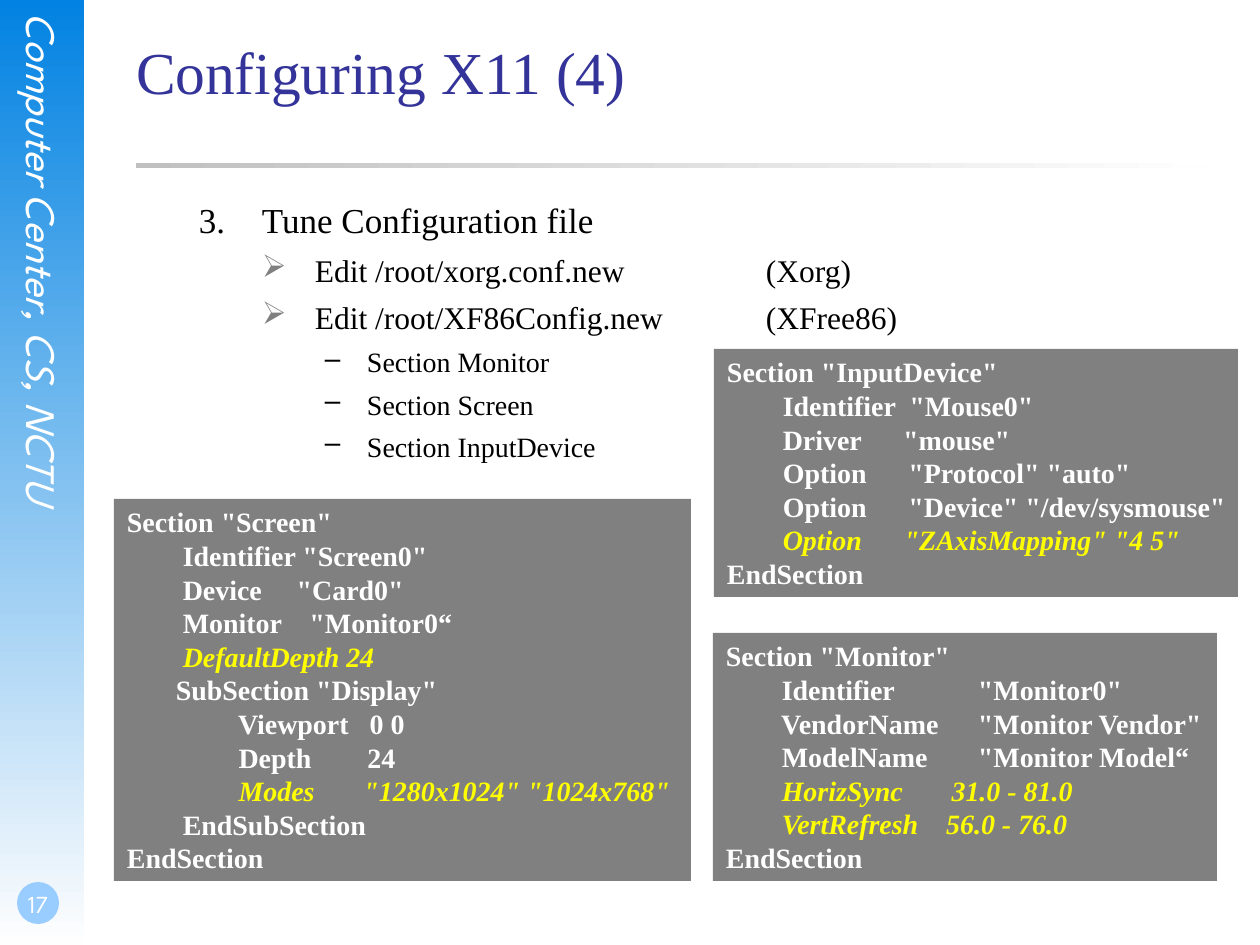
from lxml import etree
from pptx import Presentation
from pptx import util as u
from pptx.dml.color import RGBColor
from pptx.enum import shapes, text
from pptx.oxml.ns import qn

SERIF, SANS = "Times New Roman", "League Spartan"
TITLE = "Configuring X11 (4)"
SIDEBAR, PAGE = "Computer Center, CS, NCTU", "17"

# level, text
OUTLINE = [
    (1, "Tune Configuration file"),
    (2, "Edit /root/xorg.conf.new\t\t(Xorg)"),
    (2, "Edit /root/XF86Config.new\t(XFree86)"),
    (3, "Section Monitor"),
    (3, "Section Screen"),
    (3, "Section InputDevice"),
]
# level: margin px, hanging px, size, space before, bullet tag, bullet attributes, bullet colour
LEVELS = {
    1: (126, 63, 20, 6.2, "a:buAutoNum", {"type": "arabicPeriod", "startAt": "3"}, "000000"),
    2: (179, 53, 18, 5.6, "a:buChar", {"char": "➢"}, "808080"),
    3: (231, 42, 16, 5, "a:buChar", {"char": "–"}, "000000"),
}

# box in px, configuration lines
SECTIONS = [
    ((713, 633, 504, 248), [
        'Section "Monitor"',
        '        Identifier   \t"Monitor0"',
        '        VendorName  \t"Monitor Vendor"',
        '        ModelName   \t"Monitor Model“',
        '        HorizSync       31.0 - 81.0',
        '        VertRefresh    56.0 - 76.0',
        'EndSection',
    ]),
    ((114, 499, 577, 382), [
        'Section "Screen"',
        '        Identifier "Screen0"',
        '        Device     "Card0"',
        '        Monitor    "Monitor0“',
        '        DefaultDepth 24',
        '       SubSection "Display"',
        '                Viewport   0 0',
        '                Depth        24',
        '                Modes       "1280x1024" "1024x768"',
        '        EndSubSection',
        'EndSection',
    ]),
    ((714, 349, 524, 248), [
        'Section "InputDevice"',
        '        Identifier  "Mouse0"',
        '        Driver      "mouse"',
        '        Option      "Protocol" "auto"',
        '        Option      "Device" "/dev/sysmouse"',
        '        Option      "ZAxisMapping" "4 5"',
        'EndSection',
    ]),
]
HIGHLIGHTED = ("HorizSync", "VertRefresh", "DefaultDepth", "Modes", 'Option      "ZAxisMapping"')


def px(value):
    return round(value * 914400 / 126)


def color(value):
    return RGBColor.from_string(value)


def style(paragraph, size, fill, name=SERIF, bold=False, italic=False):
    font = paragraph.font
    font.name, font.size, font.bold, font.italic = name, u.Pt(size), bold, italic
    font.color.rgb = color(fill)


def add_shape(kind, box, *fills, angle=0):
    shape = slide.shapes.add_shape(kind, *map(px, box))
    shape.shadow.inherit = False
    shape.line.fill.background()
    if len(fills) == 1:
        shape.fill.solid()
        shape.fill.fore_color.rgb = color(fills[0])
    else:
        shape.fill.gradient()
        shape.fill.gradient_angle = angle
        for stop, fill in zip(shape.fill.gradient_stops, fills):
            stop.color.rgb = color(fill)
    return shape


def set_frame(shape, margins=(0, 0, 0, 0), anchor=text.MSO_ANCHOR.TOP):
    frame = shape.text_frame
    frame.word_wrap = True
    frame.auto_size = text.MSO_AUTO_SIZE.NONE
    frame.vertical_anchor = anchor
    (frame.margin_left, frame.margin_top,
     frame.margin_right, frame.margin_bottom) = map(px, margins)
    return frame


def add_text(box, **options):
    return set_frame(slide.shapes.add_textbox(*map(px, box)), **options)


def add_paragraph(frame, index, content):
    paragraph = frame.paragraphs[0] if index == 0 else frame.add_paragraph()
    paragraph.text = content
    paragraph.alignment = text.PP_ALIGN.LEFT
    return paragraph


def add_tabs(paragraph, first):
    tabs = etree.SubElement(paragraph._p.get_or_add_pPr(), qn("a:tabLst"))
    for inch in range(first, first + 8):
        etree.SubElement(tabs, qn("a:tab"), pos=str(u.Inches(inch)), algn="l")


def add_bullet(paragraph, margin, hanging, tag, attributes, fill):
    properties = paragraph._p.get_or_add_pPr()
    properties.set("marL", str(px(margin)))
    properties.set("indent", str(-px(hanging)))
    bullet_color = etree.SubElement(properties, qn("a:buClr"))
    etree.SubElement(bullet_color, qn("a:srgbClr"), val=fill)
    etree.SubElement(properties, qn(tag), **attributes)


presentation = Presentation()
presentation.slide_width, presentation.slide_height = px(1260), px(945)
slide = presentation.slides.add_slide(presentation.slide_layouts[5])

# Sidebar with vertical label and page number
add_shape(shapes.MSO_SHAPE.RECTANGLE, (0, 0, 84, 945), "0282E2", "FEFEFE", angle=270)
label = add_text((19, 13, 50, 644))
label._txBody.bodyPr.set("vert", "eaVert")
paragraph = add_paragraph(label, 0, SIDEBAR)
paragraph.alignment = text.PP_ALIGN.CENTER
style(paragraph, 24, "FFFFFF", SANS, italic=True)

add_shape(shapes.MSO_SHAPE.OVAL, (17, 882, 42, 42), "99CCFF")
number = add_text((0, 861, 73, 63), margins=(3, 0, 0, 6), anchor=text.MSO_ANCHOR.BOTTOM)
paragraph = add_paragraph(number, 0, PAGE)
paragraph.alignment = text.PP_ALIGN.CENTER
style(paragraph, 14, "FFFFFF", SANS)

# Title and rule
add_shape(shapes.MSO_SHAPE.RECTANGLE, (136, 163, 1071, 5), "C0C0C0", "FEFEFE")
title = slide.shapes.title
title.left, title.top, title.width, title.height = map(px, (136, 35, 1071, 158))
style(add_paragraph(set_frame(title), 0, TITLE), 34, "333399")

# Outline
outline = add_text((136, 199, 1071, 640))
for index, (level, content) in enumerate(OUTLINE):
    margin, hanging, size, space, tag, attributes, fill = LEVELS[level]
    paragraph = add_paragraph(outline, index, content)
    if index:
        paragraph.space_before = u.Pt(space)
    add_bullet(paragraph, margin, hanging, tag, attributes, fill)
    add_tabs(paragraph, 2)
    style(paragraph, size, "000000")

# Configuration sections
for box, lines in SECTIONS:
    panel = add_shape(shapes.MSO_SHAPE.RECTANGLE, box, "808080")
    frame = set_frame(panel, margins=(13, 6, 0, 6))
    for index, line in enumerate(lines):
        marked = line.strip().startswith(HIGHLIGHTED)
        paragraph = add_paragraph(frame, index, line)
        add_tabs(paragraph, 1)
        style(paragraph, 16, "FFFF00" if marked else "FFFFFF", bold=True, italic=marked)

presentation.save("out.pptx")
